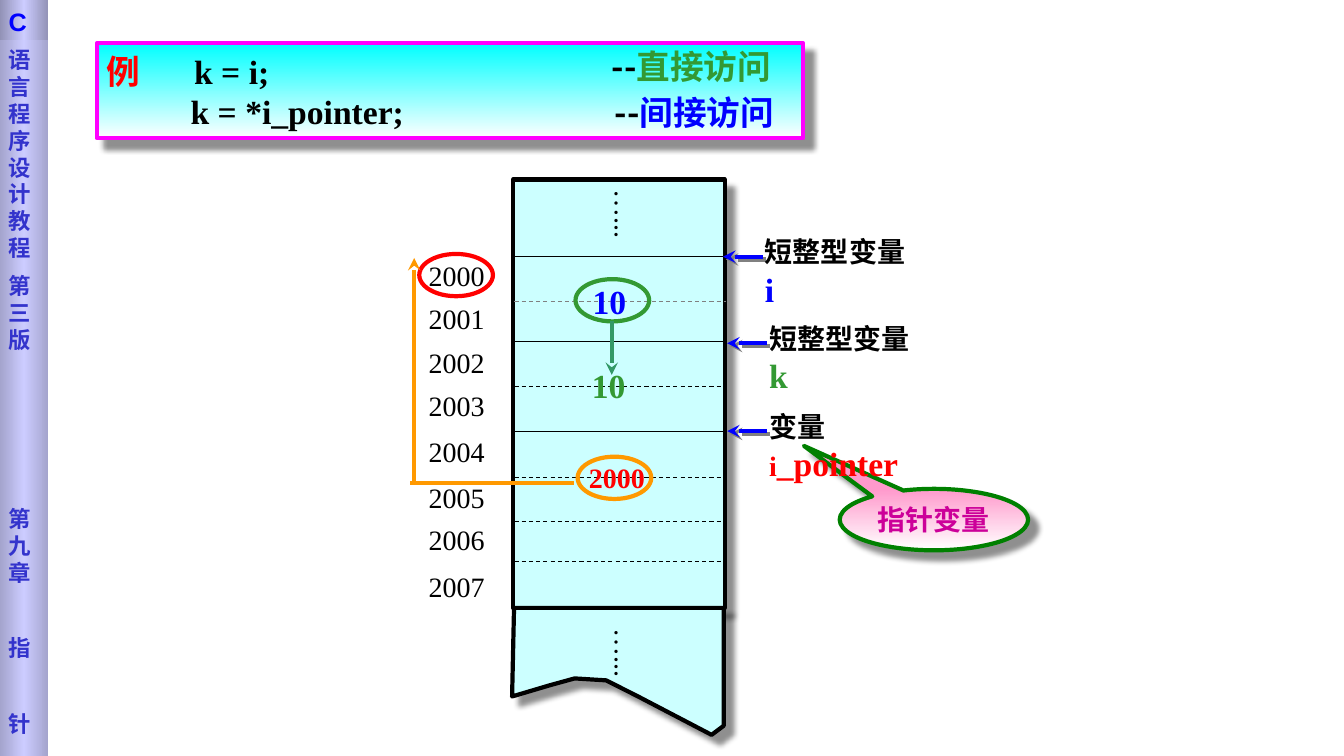
from lxml import etree
from pptx import Presentation
from pptx.dml.color import RGBColor
from pptx.enum.dml import MSO_LINE
from pptx.enum.shapes import MSO_CONNECTOR, MSO_SHAPE
from pptx.enum.text import MSO_ANCHOR, PP_ALIGN
from pptx.oxml.ns import qn
from pptx.util import Pt

RECTANGLE, OVAL = MSO_SHAPE.RECTANGLE, MSO_SHAPE.OVAL
CALLOUT = MSO_SHAPE.OVAL_CALLOUT
STRAIGHT, DASH = MSO_CONNECTOR.STRAIGHT, MSO_LINE.DASH
TOP, MIDDLE = MSO_ANCHOR.TOP, MSO_ANCHOR.MIDDLE
LEFT, CENTER = PP_ALIGN.LEFT, PP_ALIGN.CENTER

BLACK = RGBColor(0x00, 0x00, 0x00)
WHITE = RGBColor(0xFF, 0xFF, 0xFF)
GRAY = RGBColor(0x80, 0x80, 0x80)
RED = RGBColor(0xFF, 0x00, 0x00)
BLUE = RGBColor(0x00, 0x00, 0xFF)
GREEN = RGBColor(0x33, 0x99, 0x33)
SEA_GREEN = RGBColor(0x33, 0x99, 0x66)
DARK_GREEN = RGBColor(0x00, 0x80, 0x00)
ORANGE = RGBColor(0xFF, 0x99, 0x00)
PINK = RGBColor(0xFF, 0x99, 0xCC)
PURPLE = RGBColor(0xCC, 0x00, 0x99)
MAGENTA = RGBColor(0xFF, 0x00, 0xFF)
CYAN = RGBColor(0x00, 0xFF, 0xFF)
PALE_CYAN = RGBColor(0xCC, 0xFF, 0xFF)
INDIGO = RGBColor(0x33, 0x33, 0xCC)
LAVENDER = RGBColor(0xCC, 0xCC, 0xFF)
BAR_EDGE = RGBColor(0xA4, 0xA4, 0xCD)
CAP_EDGE = RGBColor(0x92, 0x92, 0xB6)

SERIF, SANS, CJK, SIDE = "Times New Roman", "Arial", "Noto Sans CJK SC", "DejaVu Sans"


def cast_shadow(shape, color, opacity, blur, distance):
    effects = shape._element.spPr.find(qn("a:effectLst"))
    shadow = etree.SubElement(
        effects, qn("a:outerShdw"), blurRad=str(Pt(blur)), dist=str(Pt(distance)),
        dir="2700000", algn="ctr", rotWithShape="0")
    tint = etree.SubElement(shadow, qn("a:srgbClr"), val=str(color))
    etree.SubElement(tint, qn("a:alpha"), val=str(opacity * 1000))


def paint(shape, fill=None, line=None, shadow=False, angle=270):
    """Set fill (None, a colour, or a list of gradient colours), outline and shadow."""
    shape.shadow.inherit = False
    if fill is None:
        shape.fill.background()
    elif isinstance(fill, list):
        shape.fill.gradient()
        shape.fill.gradient_angle = angle
        stops = shape._element.spPr.find(".//" + qn("a:gsLst"))
        stops.clear()
        for index, color in enumerate(fill):
            position = index * 100000 // (len(fill) - 1)
            stop = etree.SubElement(stops, qn("a:gs"), pos=str(position))
            etree.SubElement(stop, qn("a:srgbClr"), val=str(color))
    else:
        shape.fill.solid()
        shape.fill.fore_color.rgb = fill
    if line is None:
        shape.line.fill.background()
    else:
        shape.line.color.rgb = line
        shape.line.width = Pt(3)
    if shadow:
        cast_shadow(shape, BLACK, 43, 4, 8.4)


def add_preset(slide, kind, bounds, **style):
    shape = slide.shapes.add_shape(kind, *map(Pt, bounds))
    paint(shape, **style)
    return shape


def add_line(slide, start, end, color, width=3, dash=False, arrow=False, shadow=False):
    line = slide.shapes.add_connector(STRAIGHT, *map(Pt, start + end))
    line.line.color.rgb = color
    line.line.width = Pt(width)
    if dash:
        line.line.dash_style = DASH
    properties = line._element.spPr
    if arrow:
        etree.SubElement(properties.find(qn("a:ln")), qn("a:tailEnd"), type="stealth")
    etree.SubElement(properties, qn("a:effectLst"))
    if shadow:
        cast_shadow(line, GRAY, 100, 0, 2.8)


def set_frame(shape, margins, anchor, wrap=True):
    frame = shape.text_frame
    frame.word_wrap = wrap
    frame.vertical_anchor = anchor
    frame.margin_left, frame.margin_top, frame.margin_right, frame.margin_bottom = map(Pt, margins)
    return frame


def set_font(para, size, color, bold=True, name=SERIF, align=LEFT):
    para.alignment = align
    font = para.font
    font.name, font.size, font.bold = name, Pt(size), bold
    font.color.rgb = color


def add_span(para, text, color, size=None):
    span = para.add_run()
    span.text = text
    span.font.color.rgb = color
    if size:
        span.font.size = Pt(size)


def write_centered(shape, text, size, color, bold=True):
    frame = set_frame(shape, (0, 0, 0, 0), MIDDLE, wrap=False)
    para = frame.paragraphs[0]
    para.text = text
    set_font(para, size, color, bold, align=CENTER)
    return frame


def add_centered_text(slide, bounds, *text_style):
    box = slide.shapes.add_textbox(*map(Pt, bounds))
    return write_centered(box, *text_style)


def add_left_text(slide, bounds):
    box = slide.shapes.add_textbox(*map(Pt, bounds))
    return set_frame(box, (7.2, 3.6, 0, 3.6), TOP).paragraphs[0]


def add_sidebar(slide):
    bar = add_preset(slide, RECTANGLE, (0, 0, 34.5, 540),
                     fill=[BAR_EDGE, LAVENDER, BAR_EDGE], angle=0)
    frame = set_frame(bar, (6.2, 33, 3, 0), TOP)
    chapters = [("语言程序设计教程", 0), ("第三版", 8), ("第九章", 108.6), ("指", 35), ("针", 35)]
    for index, (text, gap) in enumerate(chapters):
        para = frame.add_paragraph() if index else frame.paragraphs[0]
        para.text = text
        para.line_spacing, para.space_before = Pt(19.2), Pt(gap)
        set_font(para, 16, INDIGO, name=SIDE)
    cap = add_preset(slide, RECTANGLE, (0, 0, 34.5, 28.8),
                     fill=[CAP_EDGE, LAVENDER, CAP_EDGE], angle=0)
    letter = set_frame(cap, (6.2, 2, 3, 0), MIDDLE).paragraphs[0]
    letter.text = "C"
    set_font(letter, 18, BLUE, name=SANS)


def add_example(slide):
    box = add_preset(slide, RECTANGLE, (69.1, 31, 504.7, 67.7),
                     fill=[CYAN, WHITE], line=MAGENTA, shadow=True)
    frame = set_frame(box, (7.2, 3.6, 7.2, 3.6), MIDDLE)
    direct, indirect = frame.paragraphs[0], frame.add_paragraph()
    tabs = etree.SubElement(direct._p.get_or_add_pPr(), qn("a:tabLst"))
    etree.SubElement(tabs, qn("a:tab"), pos=str(Pt(62.5)), algn="l")
    indirect._p.get_or_add_pPr().set("marL", str(Pt(60)))
    add_span(direct, "例", RED)
    add_span(direct, "\tk = i;", BLACK)
    indirect.text = "k = *i_pointer;"
    for para in (direct, indirect):
        set_font(para, 24, BLACK)
    for left, top, text, color in ((429.8, 29.5, "直接访问", GREEN), (432, 61.9, "间接访问", BLUE)):
        para = add_left_text(slide, (left, top, 142, 36))
        add_span(para, "--", BLACK)
        add_span(para, text, color)
        set_font(para, 24, BLACK, name=CJK)


def add_memory(slide):
    add_preset(slide, RECTANGLE, (366.5, 128.2, 151.2, 306),
               fill=PALE_CYAN, line=BLACK, shadow=True)
    dividers = [182.9, 215.3, 244.1, 275.8, 308.2, 341.3, 372.2, 401]
    solid = {182.9, 244.1, 308.2}
    for y in dividers:
        color = GRAY if y == 215.3 else BLACK
        add_line(slide, (367.5, y), (518.5, y), color, 0.75, dash=y not in solid)
    torn_edge = [(517, 434.2), (517, 518.4), (508.3, 524.9), (455.8, 497.5), (433, 486),
                 (410.5, 484.6), (392.4, 489.6), (365.8, 497.5)]
    builder = slide.shapes.build_freeform(Pt(367.2), Pt(434.2))
    builder.add_line_segments([(Pt(x), Pt(y)) for x, y in torn_edge])
    paint(builder.convert_to_shape(), fill=PALE_CYAN, line=BLACK, shadow=True)
    for top in (135.4, 448.6):
        frame = add_centered_text(slide, (427.7, top, 38.9, 42.5), "…...", 20, BLACK, False)
        frame._txBody.bodyPr.set("vert", "eaVert")
    address_tops = [181.4, 211.7, 243.4, 274.3, 306.7, 339.8, 370, 403.2]
    for address, top in enumerate(address_tops, 2000):
        add_centered_text(slide, (298.8, top, 54.7, 31), str(address), 20, BLACK, False)


def add_variables(slide):
    variables = [(539.3, 164.2, "短整型变量", [("i", 24)], BLUE),
                 (542.2, 226, "短整型变量", [("k", 24)], GREEN),
                 (542.2, 288.7, "变量", [("i", 20), ("_pointer", 24)], RED)]
    for left, top, kind, name, color in variables:
        tip = top + 19.2
        add_line(slide, (left + 5.8, tip), (left - 22.8, tip), BLUE, arrow=True, shadow=True)
        para = add_left_text(slide, (left, top, 148, 36.7))
        add_span(para, kind, BLACK)
        para.add_line_break()
        for text, size in name:
            add_span(para, text, color, size)
        set_font(para, 20, BLACK)


def add_values(slide):
    for left, top, color in ((299.5, 181.4, RED), (412.6, 326.2, ORANGE), (411.1, 199.4, GREEN)):
        add_preset(slide, OVAL, (left, top, 52.6, 30.2), line=color)
    add_centered_text(slide, (416.2, 197.3, 38.2, 36), "10", 24, BLUE)
    add_centered_text(slide, (413.3, 325.4, 54.7, 31), "2000", 20, RED)
    add_line(slide, (437, 229), (437, 267.8), SEA_GREEN, arrow=True)
    add_centered_text(slide, (415.4, 257, 38.9, 36.7), "10", 24, GREEN)
    add_line(slide, (409.7, 344.9), (293, 344.9), ORANGE)
    add_line(slide, (295.9, 344.9), (295.9, 184.3), ORANGE, arrow=True)


def add_pointer_callout(slide):
    callout = add_preset(slide, CALLOUT, (599.8, 349.2, 134.6, 43.9),
                         fill=[PINK, WHITE], line=DARK_GREEN, shadow=True)
    callout.adjustments[0], callout.adjustments[1] = -0.69, -1.2
    write_centered(callout, "指针变量", 20, PURPLE)


def main():
    deck = Presentation()
    deck.slide_width, deck.slide_height = Pt(960), Pt(540)
    slide = deck.slides.add_slide(deck.slide_layouts[6])
    add_sidebar(slide)
    add_pointer_callout(slide)
    add_memory(slide)
    add_variables(slide)
    add_values(slide)
    add_example(slide)
    deck.save("out.pptx")


if __name__ == "__main__":
    main()
